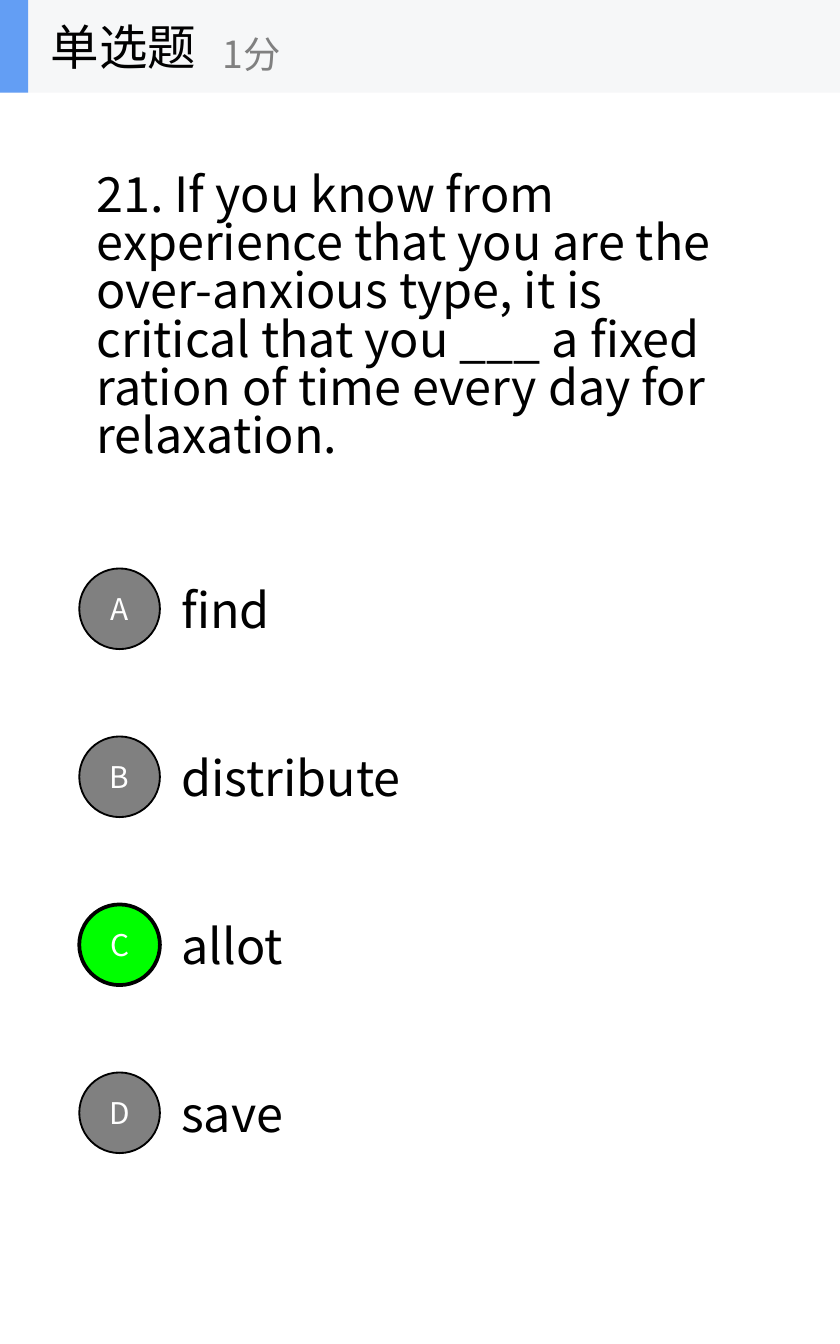
from pptx import Presentation
from pptx.dml.color import RGBColor as Rgb
from pptx.enum.shapes import MSO_SHAPE as Shape
from pptx.enum.text import MSO_ANCHOR as Anchor, PP_ALIGN as Align
from pptx.oxml.ns import qn
from pptx.util import Inches, Pt

FONT = "Noto Sans CJK SC"
HUES = {"ink": "000000", "gray": "808080", "white": "FFFFFF",
        "right": "00FF00", "band": "F6F7F8", "accent": "639EF4"}
ASK = ("21. If you know from experience that you are the over-anxious type, "
       "it is critical that you ___ a fixed ration of time every day for "
       "relaxation.")
WORDS = ["find", "distribute", "allot", "save"]
ANSWER = "allot"


def hue(name):
    """Return the named colour."""
    return Rgb.from_string(HUES[name])


def write(shape, text, size=26, color="ink", align=Align.LEFT, wrap=True,
          space=None):
    """Put formatted text in a shape."""
    frame = shape.text_frame
    frame.word_wrap = wrap
    frame.vertical_anchor = Anchor.MIDDLE
    para = frame.paragraphs[0]
    para.alignment = align
    para.line_spacing = space
    run = para.add_run()
    run.text = text
    font = run.font
    font.size, font.name = Pt(size), FONT
    font.color.rgb = hue(color)
    east = font._element.makeelement(qn("a:ea"), {"typeface": FONT})
    font._element.find(qn("a:latin")).addnext(east)


def label(shapes, box, text, **style):
    """Add a text box."""
    write(shapes.add_textbox(*map(Inches, box)), text, **style)


def form(shapes, kind, box, fill, line=0):
    """Add a filled preset shape, outlined if a line width is given."""
    shape = shapes.add_shape(kind, *map(Inches, box))
    shape.shadow.inherit = False
    shape.fill.solid()
    shape.fill.fore_color.rgb = hue(fill)
    if line:
        shape.line.color.rgb = hue("ink")
        shape.line.width = Pt(line)
    else:
        shape.line.fill.background()
    return shape


def choices(shapes, box):
    """Stack the lettered answers in equal rows."""
    left, top, width, height = box
    pitch, row, size, inset = height / len(WORDS), 0.94, 0.6, 0.66
    for i, word in enumerate(WORDS):
        y = top + i * pitch
        label(shapes, (left + inset, y, width - inset, row), word)
        right = word == ANSWER
        mark = form(shapes, Shape.OVAL,
                    (left, y + (row - size) / 2, size, size),
                    "right" if right else "gray", line=2 if right else 1)
        mark.text_frame.margin_left = mark.text_frame.margin_right = 0
        write(mark, "ABCD"[i], size=16, color="white", align=Align.CENTER)


def header(shapes, box):
    """Draw the title band with the kind of question and its score."""
    left, top, width, height = box
    parts = shapes.add_group_shape().shapes
    form(parts, Shape.RECTANGLE, box, "band")
    form(parts, Shape.RECTANGLE, (left, top, 0.21, height), "accent")
    label(parts, (left + 0.28, top, 2.08, height), "单选题", wrap=False)
    label(parts, (left + 1.56, top + 0.12, 2.5, height - 0.13), "1分",
          size=20, color="gray", wrap=False)


def main():
    """Build and save the question slide."""
    deck = Presentation()
    deck.slide_width, deck.slide_height = Inches(6.25), Inches(10)
    shapes = deck.slides.add_slide(deck.slide_layouts[6]).shapes
    label(shapes, (0.62, 0.81, 5, 3.12), ASK, space=0.83)
    choices(shapes, (0.59, 4.06, 5.04, 5))
    header(shapes, (0, 0, 6.25, 0.69))
    deck.save("out.pptx")


if __name__ == "__main__":
    main()
